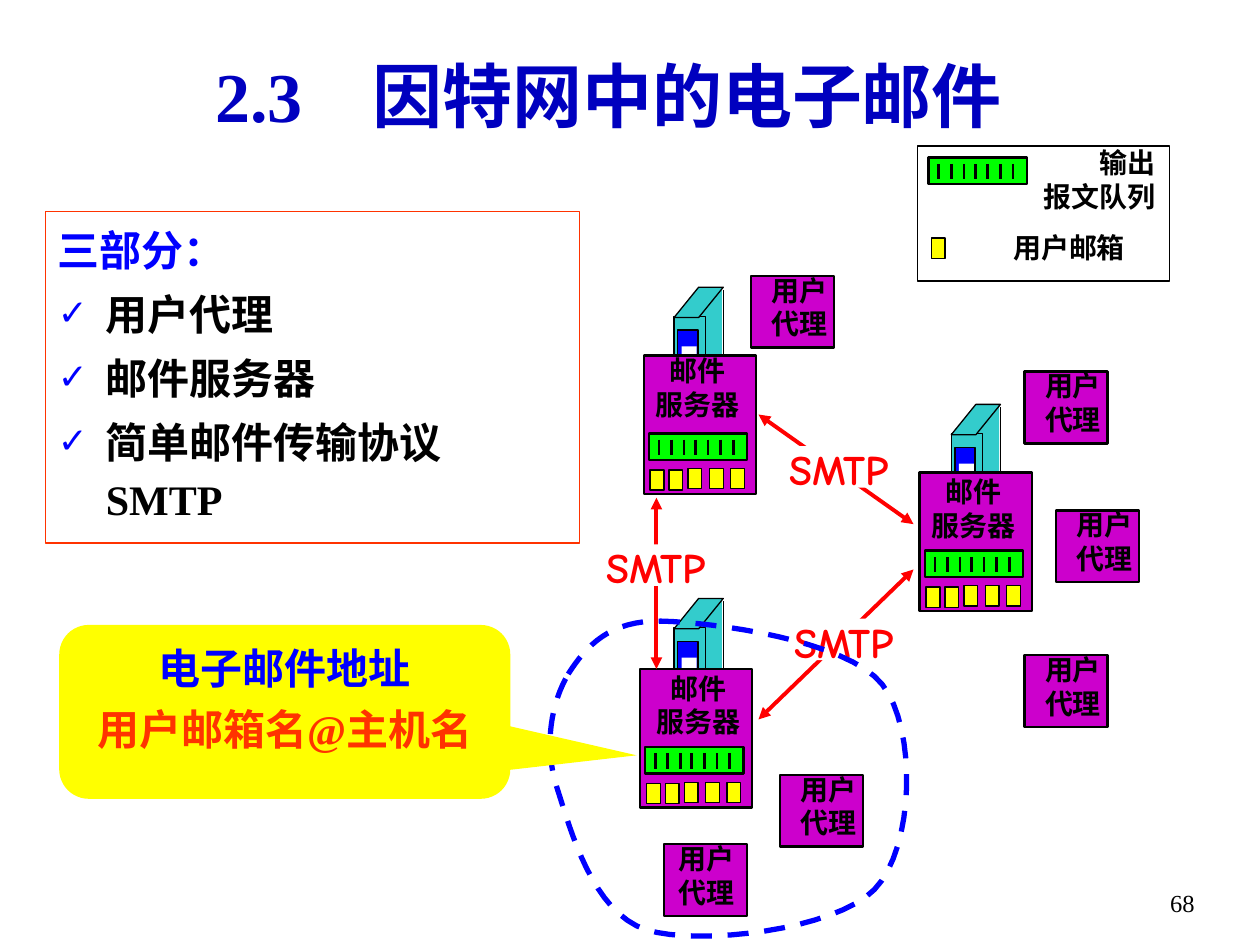
from typing import NamedTuple

import pptx
import pptx.dml.color
import pptx.enum.dml
import pptx.enum.shapes
import pptx.enum.text
import pptx.oxml
import pptx.oxml.ns
import pptx.util

EMU_PER_PX = 9144  # 100 px to the inch
LATIN, CJK, LABEL = "Times New Roman", "Noto Sans CJK SC", "Comic Neue"
BLACK, WHITE, BLUE, RED = "000000", "FFFFFF", "0000FF", "FF0000"
TEAL, PURPLE, GREEN, YELLOW, ORANGE = "33CCCC", "CC00CC", "00FF00", "FFFF00", "FF3300"
SHAPE = pptx.enum.shapes.MSO_SHAPE
ALIGN = pptx.enum.text.PP_ALIGN
ANCHOR = pptx.enum.text.MSO_ANCHOR


class Point(NamedTuple):
    x: int
    y: int


class Server(NamedTuple):
    tower: Point
    body: Point
    label: Point


class Agent(NamedTuple):
    box: Point
    label: Point


class Link(NamedTuple):
    start: Point
    end: Point


SERVERS = [
    Server(Point(755, 321), Point(730, 375), Point(729, 372)),
    Server(Point(535, 475), Point(508, 531), Point(511, 528)),
    Server(Point(535, 228), Point(511, 282), Point(510, 276)),
]
AGENTS = [
    Agent(Point(813, 295), Point(819, 288)),
    Agent(Point(838, 405), Point(844, 398)),
    Agent(Point(813, 520), Point(819, 513)),
    Agent(Point(619, 615), Point(625, 608)),
    Agent(Point(527, 670), Point(528, 663)),
    Agent(Point(596, 219), Point(602, 212)),
]
LINKS = [
    Link(Point(602, 329), Point(725, 416)),
    Link(Point(602, 571), Point(725, 452)),
    Link(Point(521, 531), Point(521, 395)),
]
SMTP_LABELS = [Point(613, 484), Point(609, 347), Point(464, 425)]
# Cubic segments around the lower server: two controls, then the end point
REGION_START = (451, 535)
REGION = [
    ((465, 513), (484, 492), (525, 493)),
    ((566, 494), (672, 508), (700, 543)),
    ((728, 578), (726, 673), (694, 706)),
    ((663, 738), (555, 751), (513, 738)),
    ((470, 724), (453, 659), (442, 625)),
    ((431, 591), (438, 557), REGION_START),
]


def px(n: int) -> int:
    return pptx.util.Emu(n * EMU_PER_PX)


def rgb(value: str) -> pptx.dml.color.RGBColor:
    return pptx.dml.color.RGBColor.from_string(value)


def add_xml(parent, tag: str, **attrs: str) -> None:
    el = pptx.oxml.parse_xml(f"<a:{tag} {pptx.oxml.ns.nsdecls('a')}/>")
    for name, value in attrs.items():
        el.set(name, value)
    parent.append(el)


def write(p, text: str, *, size=16, font=LABEL, color=BLACK, bold=True,
          align=None, spacing=None, before=None):
    """Add a run to a paragraph and format both."""
    if align is not None:
        p.alignment = align
    if spacing is not None:
        p.line_spacing = pptx.util.Pt(spacing)
    if before is not None:
        p.space_before = pptx.util.Pt(before)
    r = p.add_run()
    r.text = text
    r.font.size, r.font.bold, r.font.name = pptx.util.Pt(size), bold, font
    r.font.color.rgb = rgb(color)
    add_xml(r._r.get_or_add_rPr(), "ea", typeface=CJK)


def label(s, x: int, y: int, w: int, h: int, lines: list[str], **fmt) -> None:
    tf = s.shapes.add_textbox(px(x), px(y), px(w), px(h)).text_frame
    tf.word_wrap = False
    for i, line in enumerate(lines):
        write(tf.add_paragraph() if i else tf.paragraphs[0], line, **fmt)


def box(s, x: int, y: int, w: int, h: int, fill=None, line=0.0, kind=SHAPE.RECTANGLE):
    sp = s.shapes.add_shape(kind, px(x), px(y), px(w), px(h))
    sp.shadow.inherit = False
    paint(sp, fill, line)
    return sp


def paint(sp, fill=None, line=0.0, color=BLACK) -> None:
    if fill:
        sp.fill.solid()
        sp.fill.fore_color.rgb = rgb(fill)
    else:
        sp.fill.background()
    if line:
        sp.line.color.rgb = rgb(color)
        sp.line.width = pptx.util.Pt(line)
    else:
        sp.line.fill.background()


def connect(s, start, end, color=BLACK, width=1.5, arrows=False) -> None:
    c = s.shapes.add_connector(pptx.enum.shapes.MSO_CONNECTOR.STRAIGHT,
                               px(start[0]), px(start[1]), px(end[0]), px(end[1]))
    c.line.color.rgb = rgb(color)
    c.line.width = pptx.util.Pt(width)
    if arrows:
        for tag in ("headEnd", "tailEnd"):
            add_xml(c.line._get_or_add_ln(), tag, type="triangle")
    add_xml(c._element.spPr, "effectLst")


def draw_queue(s, x: int, y: int) -> None:
    box(s, x, y, 78, 21, GREEN, 1.5)
    for i in range(7):
        bar = x + round(8 + 9.8 * i)
        connect(s, (bar, y + 5), (bar, y + 17))


def draw_mailbox(s, x: int, y: int) -> None:
    box(s, x, y, 11, 16, YELLOW, 0.75)


def draw_server(s, server: Server) -> None:
    # Computer tower
    x, y = server.tower
    box(s, x + 20, y + 1, 18, 78, TEAL)
    box(s, x, y + 23, 25, 78, TEAL, 0.75)
    box(s, x, y, 39, 24, TEAL, 0.75, SHAPE.PARALLELOGRAM).adjustments[0] = 0.81
    connect(s, (x + 39, y + 2), (x + 39, y + 79), width=0.75)
    box(s, x + 3, y + 34, 16, 45, BLUE, 0.75)
    box(s, x + 6, y + 47, 12, 16, WHITE)
    # Mail server with queue and mailboxes
    x, y = server.body
    box(s, x, y, 89, 110, PURPLE, 1.5)
    label(s, *server.label, 87, 64, ["邮件", "服务器"], align=ALIGN.CENTER, spacing=19.2)
    draw_queue(s, x + 4, y + 62)
    for dx, dy in ((5, 91), (20, 91), (35, 90), (52, 90), (69, 90)):
        draw_mailbox(s, x + dx, y + dy)


def draw_agent(s, agent: Agent) -> None:
    box(s, *agent.box, 66, 57, PURPLE, 1.5)
    label(s, *agent.label, 65, 64, ["用户", "代理"], align=ALIGN.CENTER, spacing=19.2)


def draw_region(s, steps=16) -> None:
    points, p0 = [], REGION_START
    for p1, p2, p3 in REGION:
        for t in (i / steps for i in range(1, steps + 1)):
            u = 1 - t
            points.append(tuple(round((u**3 * a + 3 * u * u * t * b + 3 * u * t * t * c + t**3 * d) * EMU_PER_PX)
                                for a, b, c, d in zip(p0, p1, p2, p3)))
        p0 = p3
    builder = s.shapes.build_freeform(*map(px, REGION_START))
    builder.add_line_segments(points, close=True)
    sp = builder.convert_to_shape()
    sp.shadow.inherit = False
    paint(sp, None, 3, BLUE)
    sp.line.dash_style = pptx.enum.dml.MSO_LINE.DASH


def place(sp, x: int, y: int, w: int, h: int, anchor):
    sp.left, sp.top, sp.width, sp.height = px(x), px(y), px(w), px(h)
    tf = sp.text_frame
    tf.word_wrap, tf.vertical_anchor = True, anchor
    tf.auto_size = pptx.enum.text.MSO_AUTO_SIZE.NONE
    return tf


def draw_parts_list(sp) -> None:
    tf = place(sp, 36, 168, 424, 263, ANCHOR.TOP)
    tf.margin_right = px(20)
    paint(sp, None, 0.75, ORANGE)
    for i, item in enumerate(["三部分：", "用户代理", "邮件服务器", "简单邮件传输协议"]):
        p = tf.add_paragraph() if i else tf.paragraphs[0]
        pPr = p._p.get_or_add_pPr()
        pPr.set("marL", str(px(38)))
        pPr.set("indent", str(px(-38)))
        p.line_spacing = pptx.util.Pt(32.5)
        p.space_before = pptx.util.Pt(4 if i else 0)
        if i:
            pPr.append(pptx.oxml.parse_xml(f'<a:buClr {pptx.oxml.ns.nsdecls("a")}><a:srgbClr val="{BLUE}"/></a:buClr>'))
            add_xml(pPr, "buSzPct", val="85000")
            add_xml(pPr, "buChar", char="✓")
        else:
            add_xml(pPr, "buNone")
        write(p, item, size=24, font=CJK if i else LATIN, color=BLACK if i else BLUE)
    write(p, "SMTP", size=24, font=LATIN)


def main() -> None:
    prs = pptx.Presentation()
    prs.slide_width, prs.slide_height = px(1000), px(750)
    s = prs.slides.add_slide(prs.slide_layouts[1])

    # Title, list and page number
    tf = place(s.shapes.title, 58, 25, 850, 100, ANCHOR.MIDDLE)
    write(tf.paragraphs[0], "2.3　因特网中的电子邮件", size=40, font=LATIN, color="0000BF", align=ALIGN.CENTER)
    draw_parts_list(s.placeholders[1])
    label(s, 908, 700, 50, 50, ["68"], size=14, font=LATIN, bold=False, align=ALIGN.RIGHT)

    # Legend
    box(s, 728, 116, 200, 107, None, 0.75)
    label(s, 794, 178, 109, 37, ["用户邮箱"], align=ALIGN.CENTER, spacing=19.2)
    draw_queue(s, 737, 125)
    draw_mailbox(s, 739, 189)
    label(s, 818, 111, 109, 64, ["输出", "报文队列"], align=ALIGN.RIGHT, spacing=19.2)

    # Mail network
    for server in SERVERS:
        draw_server(s, server)
    for agent in AGENTS:
        draw_agent(s, agent)
    for link in LINKS:
        connect(s, *link, color=RED, width=2.25, arrows=True)
    for x, y in SMTP_LABELS:
        box(s, x + 9, y + 7, 94, 33, WHITE)
        label(s, x, y, 114, 50, ["SMTP"], size=24, color=RED, align=ALIGN.CENTER)
    draw_region(s)

    # Address callout
    sp = box(s, 47, 496, 358, 138, YELLOW, kind=SHAPE.ROUNDED_RECTANGULAR_CALLOUT)
    for i, value in enumerate((0.78, 0.25, 0.17)):
        sp.adjustments[i] = value
    tf = place(sp, 47, 496, 358, 138, ANCHOR.TOP)
    fmt = dict(size=24, font=LATIN, align=ALIGN.CENTER, spacing=30.5)
    write(tf.paragraphs[0], "电子邮件地址", color=BLUE, **fmt)
    write(tf.add_paragraph(), "用户邮箱名@主机名", color=ORANGE, before=4, **fmt)

    prs.save("out.pptx")


if __name__ == "__main__":
    main()
